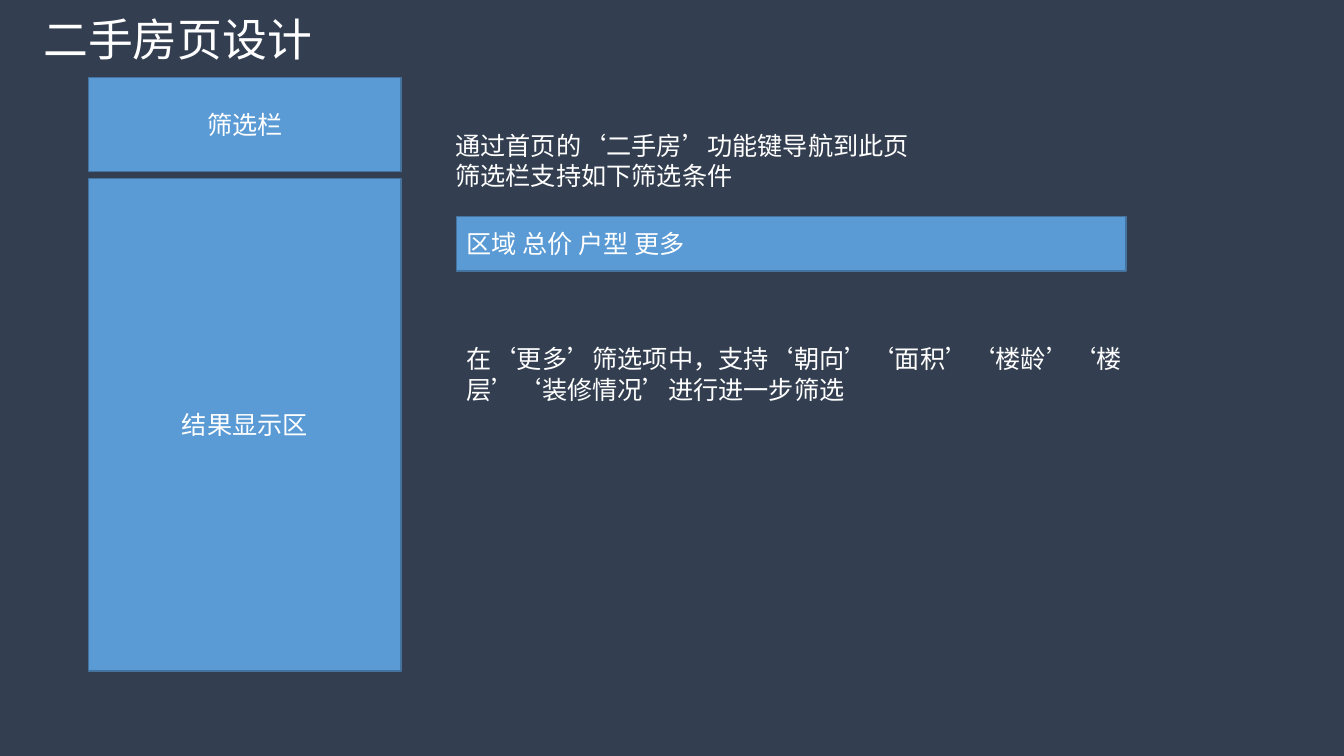
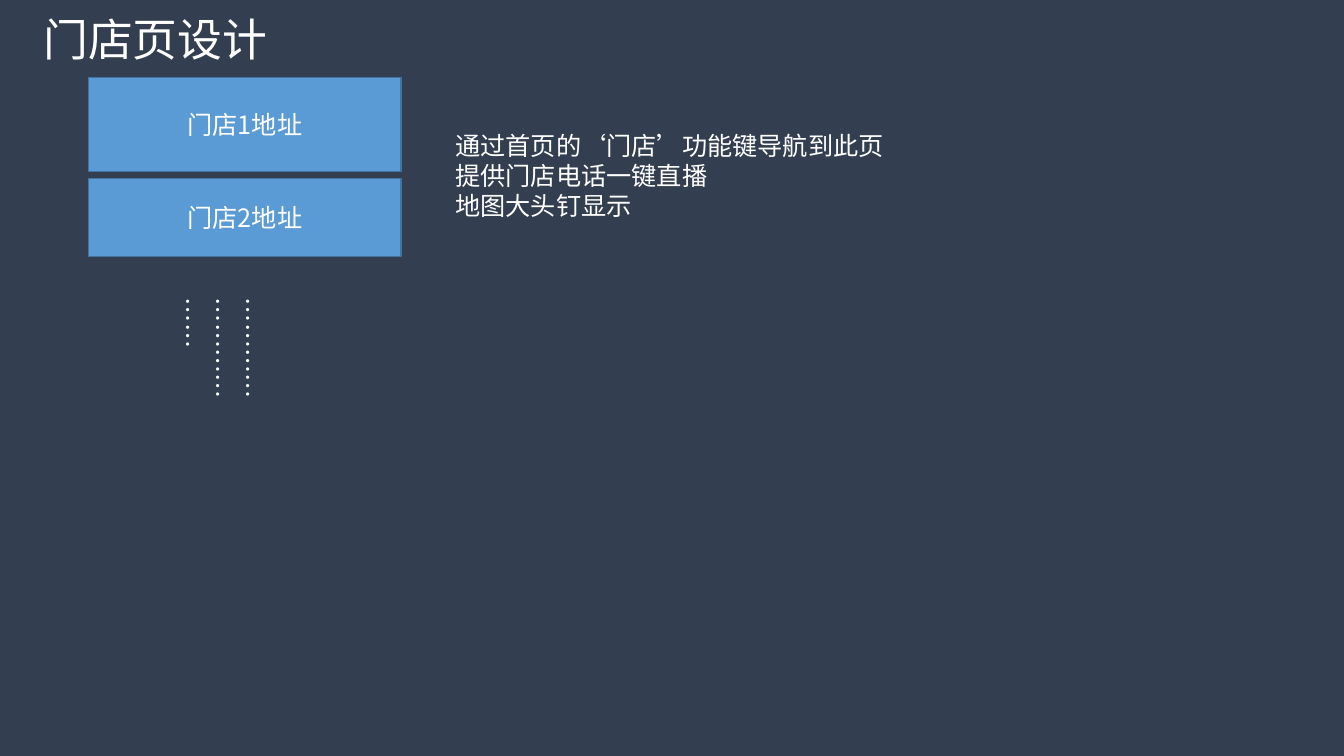
from dataclasses import dataclass

from lxml.etree import SubElement
from pptx import Presentation
from pptx.dml.color import RGBColor as RGB
from pptx.enum.shapes import MSO_SHAPE as SHAPE
from pptx.enum.text import MSO_ANCHOR as ANCHOR, MSO_AUTO_SIZE as FIT, PP_ALIGN as ALIGN
from pptx.oxml.ns import qn
from pptx.util import Pt


@dataclass(frozen=True)
class Theme:
    font: str = "Noto Sans CJK SC"
    back: RGB = RGB(0x33, 0x3F, 0x50)
    panel: RGB = RGB(0x5B, 0x9B, 0xD5)
    edge: RGB = RGB(0x43, 0x73, 0x9E)
    text: RGB = RGB(0xFF, 0xFF, 0xFF)
    title_size: int = 32
    body_size: int = 18


THEME = Theme()

# Shared boxes: left, top, width, height in points
TITLE = (23.8, 5, 525.6, 46)
MOCKUP = (63.4, 55.4, 223.2)  # left, top, width
MOCKUP_GAP = 5
NOTES = (318.2, 89.3, 525.6)  # left, top, width
LINE_HEIGHT = 21.8


def write(tf, lines, size, align):
    """Fill a text frame with one paragraph for each line."""
    tf.word_wrap = True
    for i, line in enumerate(lines):
        p = tf.paragraphs[0] if i == 0 else tf.add_paragraph()
        p.text = line
        p.alignment = align
        p.font.size = Pt(size)
        p.font.color.rgb = THEME.text
        p.font.name = THEME.font
        # East Asian glyphs take their own typeface entry
        ea = SubElement(p._p.pPr.find(qn("a:defRPr")), qn("a:ea"))
        ea.set("typeface", THEME.font)


def add_text(slide, box, lines, size=THEME.body_size):
    sp = slide.shapes.add_textbox(*map(Pt, box))
    write(sp.text_frame, lines, size, ALIGN.LEFT)
    sp.text_frame.auto_size = FIT.SHAPE_TO_FIT_TEXT
    return sp


def add_panel(slide, box, label, align=ALIGN.CENTER):
    sp = slide.shapes.add_shape(SHAPE.RECTANGLE, *map(Pt, box))
    sp.shadow.inherit = False
    sp.fill.solid()
    sp.fill.fore_color.rgb = THEME.panel
    sp.line.color.rgb = THEME.edge
    sp.line.width = Pt(1)
    sp.text_frame.vertical_anchor = ANCHOR.MIDDLE
    write(sp.text_frame, [label], THEME.body_size, align)


def add_mockup(slide, box, panels):
    """Stack labelled panels downwards from the top of the box."""
    left, top, width = box
    for label, height in panels:
        add_panel(slide, (left, top, width, height), label)
        top += height + MOCKUP_GAP


def add_notes(slide, box, lines):
    add_text(slide, (*box, 7.2 + LINE_HEIGHT * len(lines)), lines)


def design_slide(prs, title, panels, notes):
    """Background, title, page mockup on the left and notes on the right."""
    slide = prs.slides.add_slide(prs.slide_layouts[6])
    slide.background.fill.solid()
    slide.background.fill.fore_color.rgb = THEME.back
    add_mockup(slide, MOCKUP, panels)
    add_text(slide, TITLE, [title], THEME.title_size)
    add_notes(slide, NOTES, notes)
    return slide


def add_filter_details(slide, box):
    """Filter bar with the explanation of its last entry below."""
    left, top, width = box
    add_panel(slide, (left, top, width, 38.9), "区域 总价 户型 更多", ALIGN.JUSTIFY)
    add_notes(slide, (left, top + 87.1, NOTES[2]),
              ["在‘更多’筛选项中，支持‘朝向’‘面积’‘楼龄’‘楼层’‘装修情况’进行进一步筛选"])


def add_continuation(slide, box):
    """Dots running downwards below the listed stores."""
    add_text(slide, box, ["…" * 10]).rotation = 90


prs = Presentation()
prs.slide_width, prs.slide_height = Pt(960), Pt(540)

# Second-hand homes page
homes = design_slide(
    prs, "二手房页设计",
    [("筛选栏", 67), ("结果显示区", 352)],
    ["通过首页的‘二手房’功能键导航到此页", "筛选栏支持如下筛选条件"])
add_filter_details(homes, (326.2, 154.8, 478))

# Stores page
stores = design_slide(
    prs, "门店页设计",
    [("门店1地址", 67), ("门店2地址", 56)],
    ["通过首页的‘门店’功能键导航到此页", "提供门店电话一键直播", "地图大头钉显示"])
add_continuation(stores, (126.7, 241.9, 101.5, 29))

prs.save("out.pptx")
